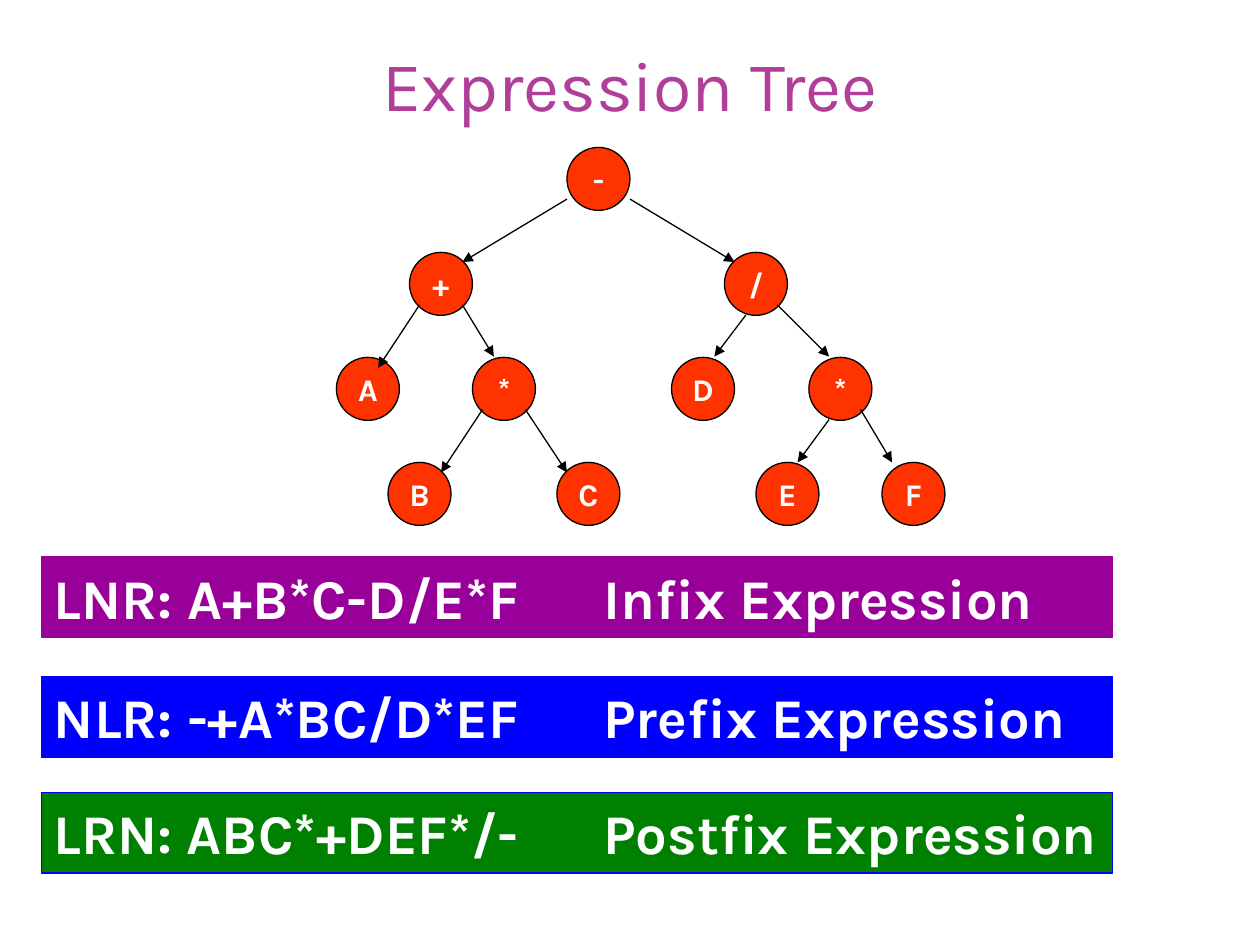
from dataclasses import dataclass

from lxml import etree
from pptx import Presentation
from pptx.dml.color import RGBColor
from pptx.enum.shapes import MSO_CONNECTOR, MSO_SHAPE
from pptx.enum.text import MSO_ANCHOR, PP_ALIGN
from pptx.oxml.ns import qn
from pptx.util import Inches, Pt

OVAL = MSO_SHAPE.OVAL
RECTANGLE = MSO_SHAPE.RECTANGLE
STRAIGHT = MSO_CONNECTOR.STRAIGHT
MIDDLE = MSO_ANCHOR.MIDDLE
TOP = MSO_ANCHOR.TOP
CENTER = PP_ALIGN.CENTER
LEFT = PP_ALIGN.LEFT


@dataclass(frozen=True)
class Theme:
    font: str = "Karla"
    title: str = "B13F9A"
    node: str = "FF3300"
    outline: str = "000000"
    light: str = "FFFFFF"
    purple: str = "990099"
    blue: str = "0000FF"
    green: str = "008000"
    title_size: int = 40
    bar_size: int = 32
    node_size: int = 18
    line_width: float = 0.75


@dataclass(frozen=True)
class Node:
    label: str
    left: float
    level: int


@dataclass(frozen=True)
class Edge:
    start: tuple[float, float]
    end: tuple[float, float]


@dataclass(frozen=True)
class Bar:
    traversal: str
    name: str
    top: float
    fill: str
    line: str


THEME = Theme()
NODE_SIZE = 0.5
TREE_TOP = 1.17
LEVEL_STEP = 2.5 / 3
BAR_TAB = 4.36

NODES = [
    Node("-", 4.5, 0),
    Node("+", 3.25, 1), Node("/", 5.75, 1),
    Node("A", 2.67, 2), Node("*", 3.75, 2), Node("D", 5.33, 2), Node("*", 6.42, 2),
    Node("B", 3.08, 3), Node("C", 4.42, 3), Node("E", 6, 3), Node("F", 7, 3),
]
EDGES = [
    Edge((4.5, 1.58), (3.67, 2.08)), Edge((5, 1.58), (5.83, 2.08)),
    Edge((3.33, 2.42), (3, 2.92)), Edge((3.67, 2.42), (3.92, 2.83)),
    Edge((5.92, 2.5), (5.67, 2.83)), Edge((6.17, 2.42), (6.58, 2.83)),
    Edge((3.83, 3.25), (3.5, 3.75)), Edge((4.17, 3.25), (4.5, 3.75)),
    Edge((6.58, 3.33), (6.33, 3.67)), Edge((6.83, 3.25), (7.08, 3.67)),
]
BARS = [
    Bar("LNR: A+B*C-D/E*F", "Infix Expression", 4.42, THEME.purple, THEME.purple),
    Bar("NLR: -+A*BC/D*EF", "Prefix Expression", 5.37, THEME.blue, THEME.blue),
    Bar("LRN: ABC*+DEF*/-", "Postfix Expression", 6.29, THEME.green, THEME.blue),
]


def write_text(shape, text: str, size: int, color: str, bold: bool, align, anchor, wrap: bool) -> None:
    frame = shape.text_frame
    frame.text = text
    frame.word_wrap = wrap
    frame.vertical_anchor = anchor
    paragraph = frame.paragraphs[0]
    paragraph.alignment = align
    for run in paragraph.runs:
        run.font.name = THEME.font
        run.font.size = Pt(size)
        run.font.bold = bold
        run.font.color.rgb = RGBColor.from_string(color)


def add_box(slide, preset, left: float, top: float, width: float, height: float, fill: str, line: str):
    shape = slide.shapes.add_shape(preset, Inches(left), Inches(top), Inches(width), Inches(height))
    shape.shadow.inherit = False
    shape.fill.solid()
    shape.fill.fore_color.rgb = RGBColor.from_string(fill)
    shape.line.color.rgb = RGBColor.from_string(line)
    shape.line.width = Pt(THEME.line_width)
    return shape


def add_title(slide, text: str) -> None:
    title = slide.shapes.add_textbox(Inches(0.75), Inches(0.25), Inches(8.5), Inches(0.83))
    write_text(title, text, THEME.title_size, THEME.title, False, CENTER, MIDDLE, True)


def add_node(slide, node: Node) -> None:
    top = TREE_TOP + node.level * LEVEL_STEP
    circle = add_box(slide, OVAL, node.left, top, NODE_SIZE, NODE_SIZE, THEME.node, THEME.outline)
    write_text(circle, node.label, THEME.node_size, THEME.light, True, CENTER, MIDDLE, False)


def add_edge(slide, edge: Edge) -> None:
    points = [Inches(value) for value in (*edge.start, *edge.end)]
    connector = slide.shapes.add_connector(STRAIGHT, *points)
    connector.line.color.rgb = RGBColor.from_string(THEME.outline)
    connector.line.width = Pt(THEME.line_width)
    etree.SubElement(connector.line._get_or_add_ln(), qn("a:tailEnd"), type="triangle")
    etree.SubElement(connector._element.spPr, qn("a:effectLst"))


def add_bar(slide, bar: Bar) -> None:
    """Draw a traversal and its name, the name aligned at a tab stop."""
    shape = add_box(slide, RECTANGLE, 0.33, bar.top, 8.5, 0.64, bar.fill, bar.line)
    write_text(shape, f"{bar.traversal}\t{bar.name}", THEME.bar_size, THEME.light, True, LEFT, TOP, True)
    properties = shape.text_frame.paragraphs[0]._p.get_or_add_pPr()
    tabs = etree.SubElement(properties, qn("a:tabLst"))
    etree.SubElement(tabs, qn("a:tab"), pos=str(Inches(BAR_TAB)), algn="l")


def main() -> None:
    presentation = Presentation()
    presentation.slide_width = Inches(10)
    presentation.slide_height = Inches(7.5)
    slide = presentation.slides.add_slide(presentation.slide_layouts[6])
    for node in NODES:
        add_node(slide, node)
    for edge in EDGES:
        add_edge(slide, edge)
    for bar in BARS:
        add_bar(slide, bar)
    add_title(slide, "Expression Tree")
    presentation.save("out.pptx")


if __name__ == "__main__":
    main()
